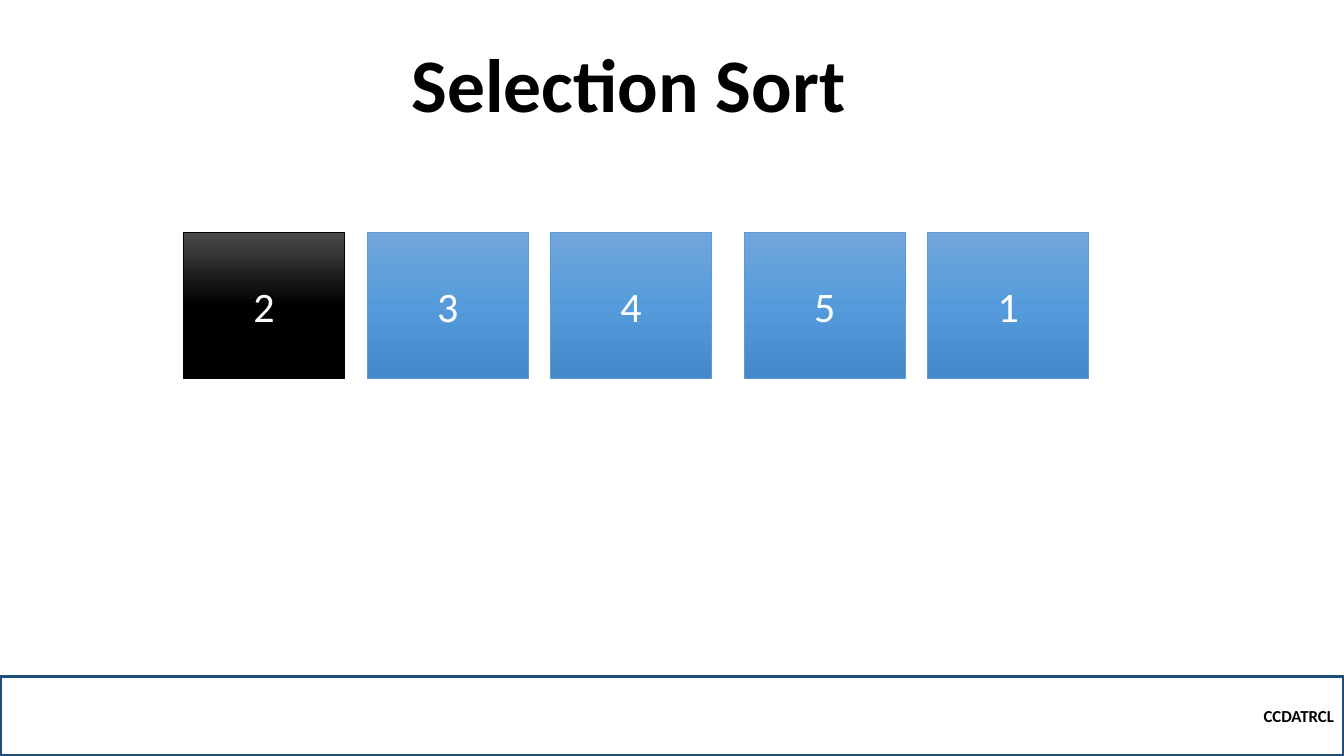
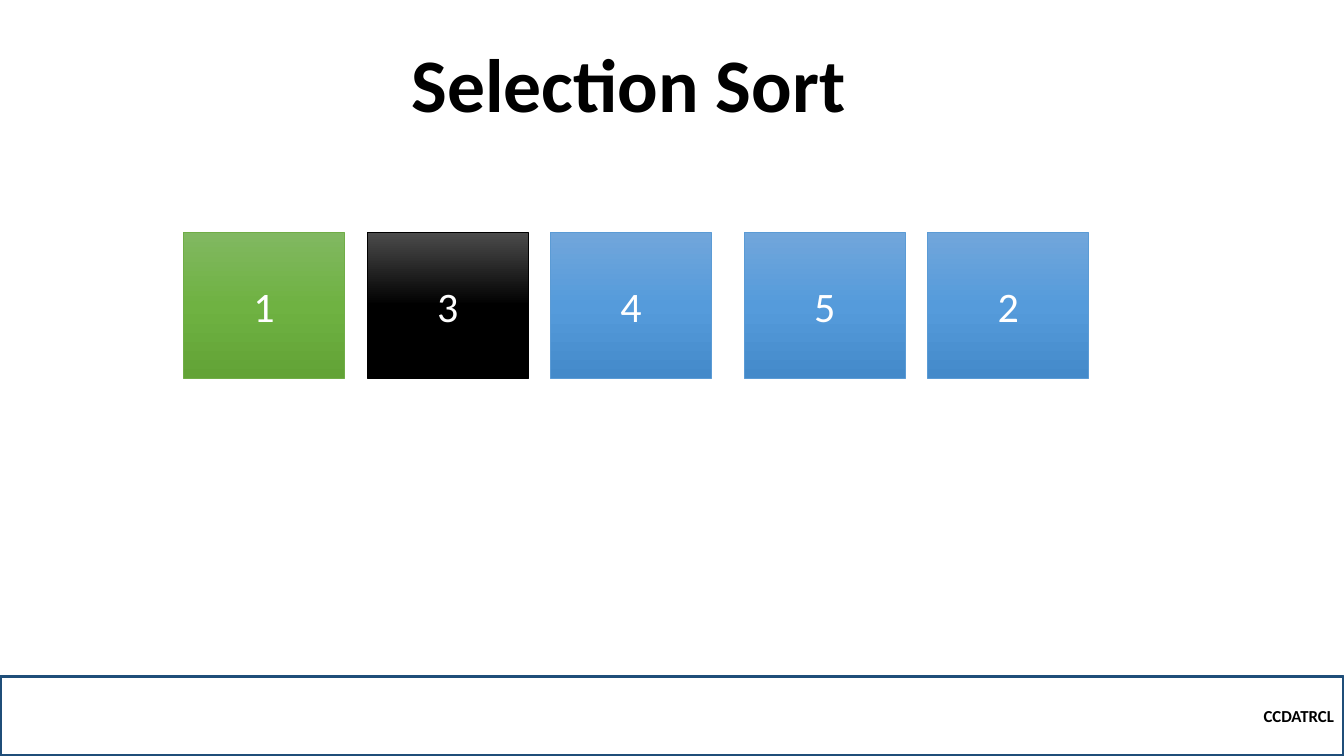
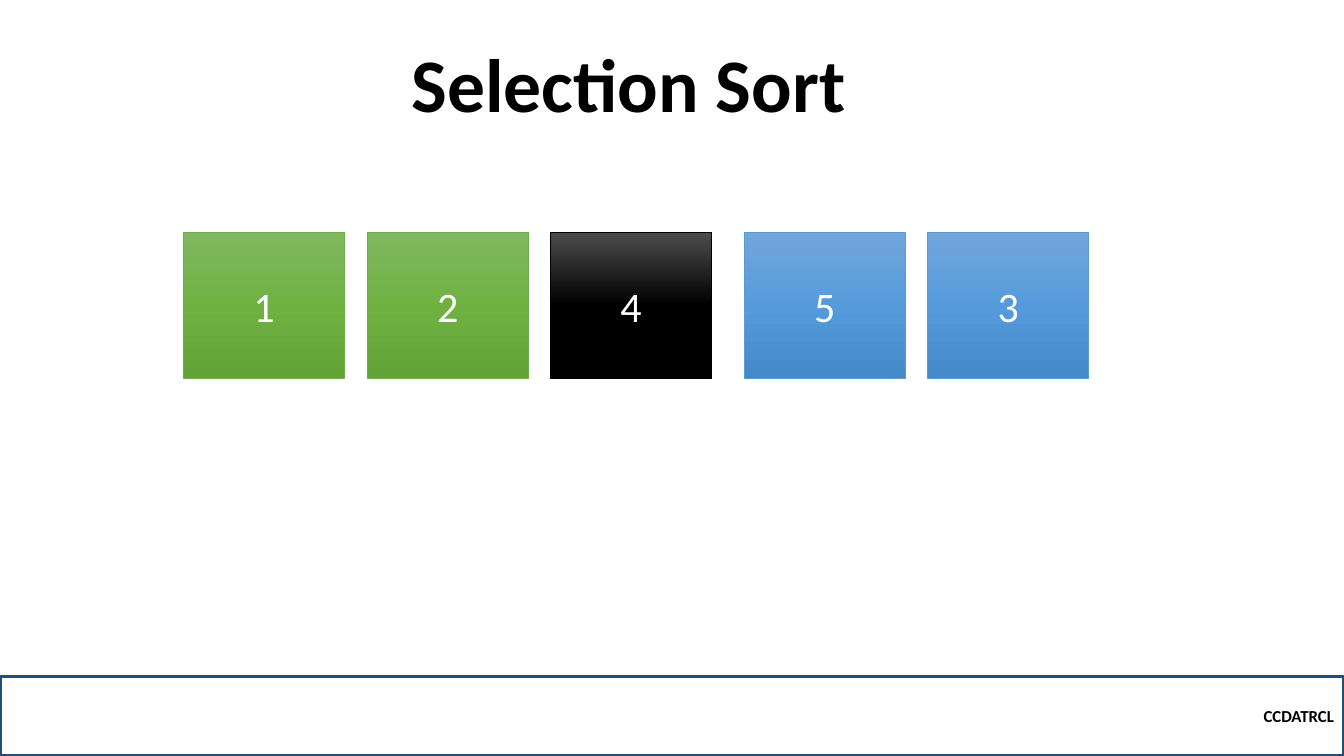
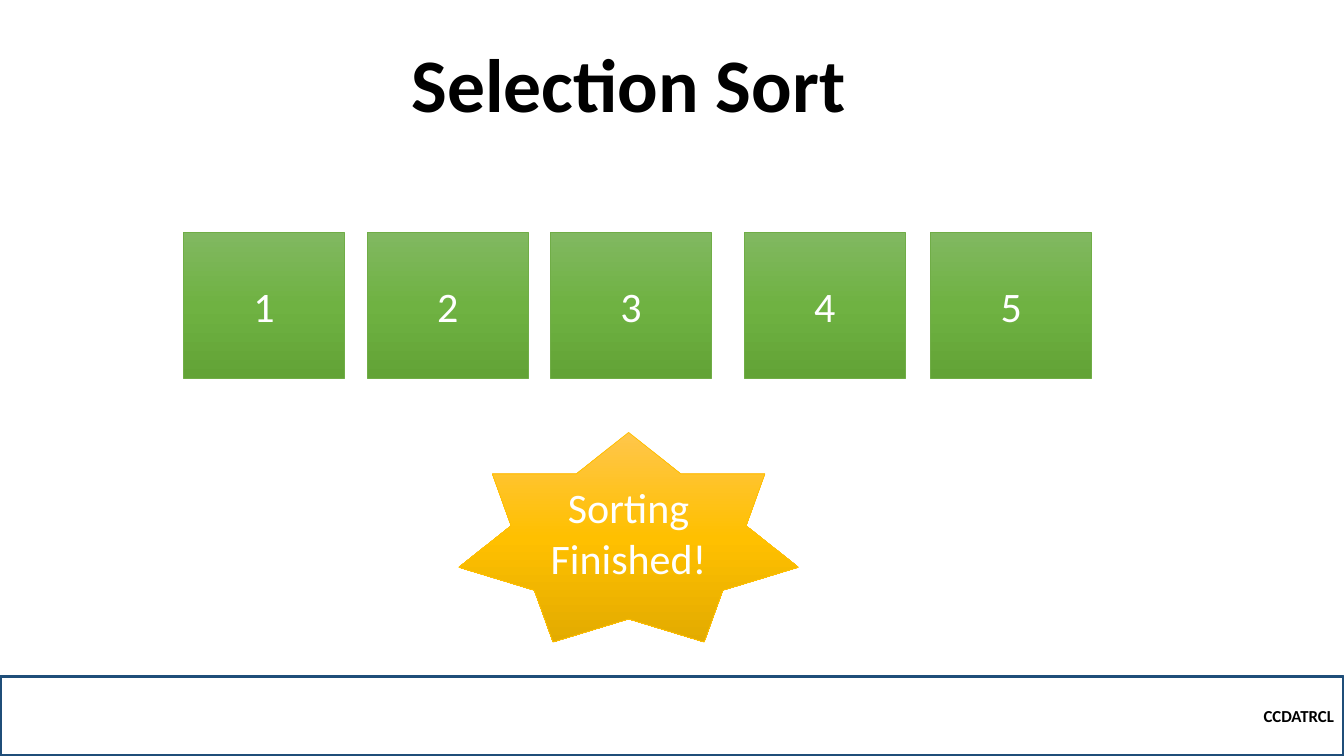
"""Build the slides that step through a selection sort."""
from copy import deepcopy
from dataclasses import dataclass

from pptx import Presentation
from pptx.dml.color import RGBColor
from pptx.enum.shapes import MSO_SHAPE
from pptx.enum.text import MSO_ANCHOR, MSO_AUTO_SIZE, PP_ALIGN
from pptx.oxml.ns import qn
from pptx.shapes.autoshape import Shape
from pptx.slide import Slide
from pptx.util import Emu, Pt

RECTANGLE = MSO_SHAPE.RECTANGLE
STAR = MSO_SHAPE.STAR_7_POINT
MIDDLE = MSO_ANCHOR.MIDDLE
BOTTOM = MSO_ANCHOR.BOTTOM
CENTER = PP_ALIGN.CENTER
RIGHT = PP_ALIGN.RIGHT
NO_AUTO_SIZE = MSO_AUTO_SIZE.NONE

EMU_PER_PX = 9144
SLIDE_WIDTH, SLIDE_HEIGHT = 1333, 750
FONT = "Calibri"
BLACK, WHITE, NAVY = "000000", "FFFFFF", "1F4E79"
STOP_POSITIONS = (0, 0.5, 1)


@dataclass(frozen=True)
class Box:
    """A rectangle in px."""

    left: int
    top: int
    width: int
    height: int


@dataclass(frozen=True)
class Paint:
    """Top-to-bottom gradient colours and an outline colour."""

    stops: tuple[str, str, str]
    line: str


@dataclass(frozen=True)
class Step:
    """One state of the array, with its sorted prefix and current index."""

    values: tuple[int, ...]
    sorted_count: int
    last_shift: int = 0
    message: str = ""


SORTED = Paint(("81B861", "6FB242", "62A336"), "70AD47")
CURRENT = Paint(("4B4B4B", BLACK, BLACK), BLACK)
UNSORTED = Paint(("71A6DB", "559BDB", "448ACA"), "5B9BD5")
GOLD = Paint(("FFC64B", "FFC000", "E3AB00"), "FFC000")

TITLE_BOX = Box(80, 54, 1087, 79)
FOOTER_BOX = Box(0, 671, SLIDE_WIDTH, 79)
STAR_BOX = Box(455, 429, 337, 208)
FIRST_CELL = Box(182, 231, 160, 144)
CELL_PITCH = 182
SPLIT_INDEX, SPLIT_GAP = 3, 10

STEPS = (
    Step((2, 3, 4, 5, 1), 0),
    Step((1, 3, 4, 5, 2), 1),
    Step((1, 2, 4, 5, 3), 2),
    Step((1, 2, 3, 4, 5), 5, last_shift=3, message="Sorting Finished!"),
)


def px(length: int) -> Emu:
    """Convert px to EMU."""
    return Emu(length * EMU_PER_PX)


def color(value: str) -> RGBColor:
    """Convert a hex string to a colour."""
    return RGBColor.from_string(value)


def write_text(shape: Shape, text: str, *, size: int, ink: str = WHITE,
               bold: bool = False, align: PP_ALIGN = CENTER,
               anchor: MSO_ANCHOR = MIDDLE, spacing: float = 1.0) -> None:
    """Fill a shape with one formatted paragraph."""
    frame = shape.text_frame
    frame.word_wrap = True
    frame.auto_size = NO_AUTO_SIZE
    frame.vertical_anchor = anchor
    paragraph = frame.paragraphs[0]
    paragraph.alignment = align
    paragraph.line_spacing = spacing
    run = paragraph.add_run()
    run.text = text
    run.font.name = FONT
    run.font.size = Pt(size)
    run.font.bold = bold
    run.font.color.rgb = color(ink)


def add_outline(slide: Slide, kind: MSO_SHAPE, box: Box, line: str,
                weight: float) -> Shape:
    """Add an unfilled preset shape without a shadow."""
    shape = slide.shapes.add_shape(
        kind, px(box.left), px(box.top), px(box.width), px(box.height))
    shape.shadow.inherit = False
    shape.fill.background()
    shape.line.color.rgb = color(line)
    shape.line.width = Pt(weight)
    return shape


def add_gradient_shape(slide: Slide, kind: MSO_SHAPE, box: Box, paint: Paint,
                       text: str) -> None:
    """Add a labelled shape with a three-stop vertical gradient."""
    shape = add_outline(slide, kind, box, paint.line, 0.5)
    shape.fill.gradient()
    shape.fill.gradient_angle = 270
    stop_list = shape.element.spPr.find(".//" + qn("a:gsLst"))
    stop_list.append(deepcopy(stop_list[0]))
    for stop, position, value in zip(
            shape.fill.gradient_stops, STOP_POSITIONS, paint.stops):
        stop.position = position
        stop.color.rgb = color(value)
    write_text(shape, text, size=30)


def add_frame(slide: Slide) -> None:
    """Add the title and footer band that all slides share."""
    title, subtitle = slide.placeholders
    subtitle.element.getparent().remove(subtitle.element)
    title.left, title.top = px(TITLE_BOX.left), px(TITLE_BOX.top)
    title.width, title.height = px(TITLE_BOX.width), px(TITLE_BOX.height)
    write_text(title, "Selection Sort", size=54, ink=BLACK, bold=True,
               anchor=BOTTOM, spacing=0.9)
    footer = add_outline(slide, RECTANGLE, FOOTER_BOX, NAVY, 2.25)
    write_text(footer, "CCDATRCL", size=12, ink=BLACK, bold=True, align=RIGHT)


def cell_paint(index: int, sorted_count: int) -> Paint:
    """Choose the paint of a cell from its place in the sort."""
    if index < sorted_count:
        return SORTED
    return CURRENT if index == sorted_count else UNSORTED


def add_step(slide: Slide, step: Step) -> None:
    """Draw the array cells and the closing message of a step."""
    for index, value in enumerate(step.values):
        left = FIRST_CELL.left + index * CELL_PITCH
        if index >= SPLIT_INDEX:
            left += SPLIT_GAP
        if index == len(step.values) - 1:
            left += step.last_shift
        box = Box(left, FIRST_CELL.top, FIRST_CELL.width, FIRST_CELL.height)
        add_gradient_shape(slide, RECTANGLE, box,
                           cell_paint(index, step.sorted_count), str(value))
    if step.message:
        add_gradient_shape(slide, STAR, STAR_BOX, GOLD, step.message)


def main() -> None:
    """Build and save the presentation."""
    presentation = Presentation()
    presentation.slide_width = px(SLIDE_WIDTH)
    presentation.slide_height = px(SLIDE_HEIGHT)
    for step in STEPS:
        slide = presentation.slides.add_slide(presentation.slide_layouts[0])
        add_frame(slide)
        add_step(slide, step)
    presentation.save("out.pptx")


if __name__ == "__main__":
    main()
